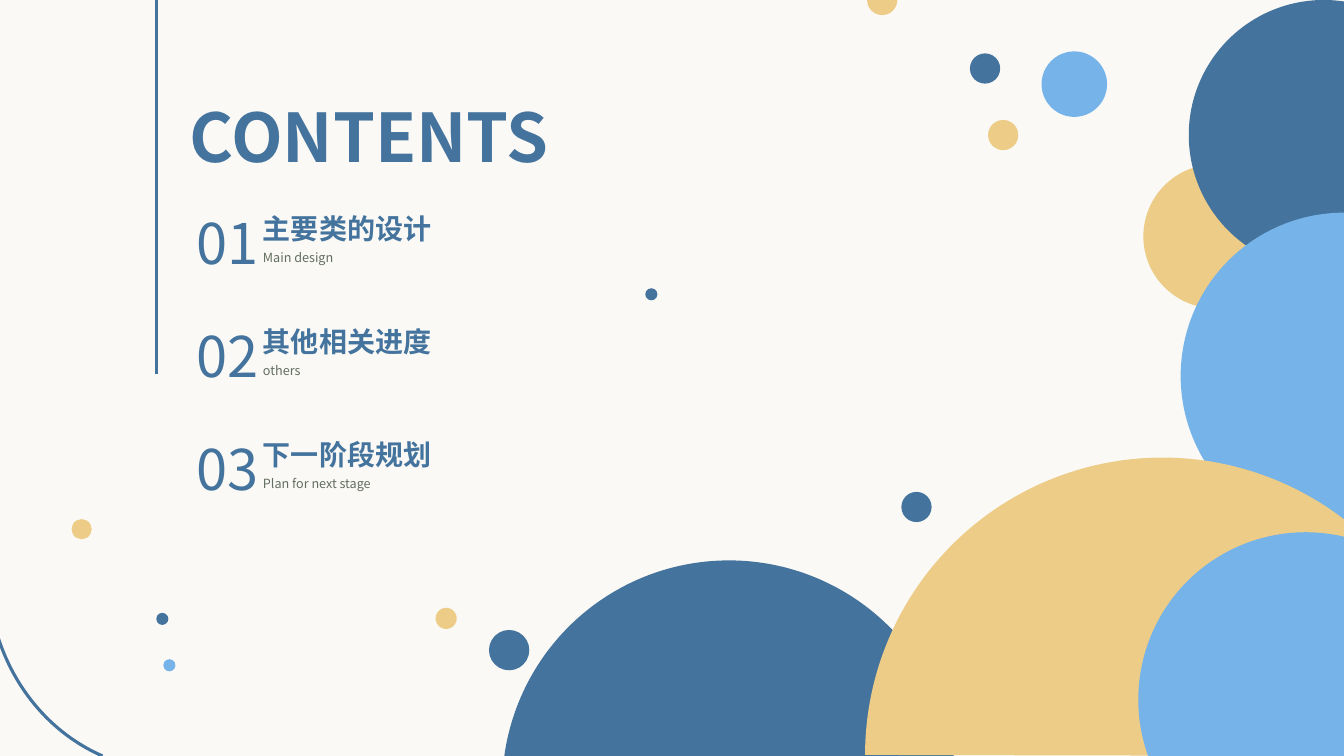
from math import cos, radians, sin

from lxml import etree
from pptx import Presentation
from pptx.dml.color import RGBColor
from pptx.enum.shapes import MSO_CONNECTOR, MSO_SHAPE
from pptx.enum.text import MSO_ANCHOR, MSO_AUTO_SIZE, PP_ALIGN
from pptx.oxml.ns import qn
from pptx.util import Inches, Pt

DOT = MSO_SHAPE.FLOWCHART_CONNECTOR
BACKDROP = MSO_SHAPE.FLOWCHART_PROCESS
OVAL, ARC = MSO_SHAPE.OVAL, MSO_SHAPE.ARC
STRAIGHT = MSO_CONNECTOR.STRAIGHT
TOP, MIDDLE = MSO_ANCHOR.TOP, MSO_ANCHOR.MIDDLE
LEFT, CENTER = PP_ALIGN.LEFT, PP_ALIGN.CENTER
GROW = MSO_AUTO_SIZE.SHAPE_TO_FIT_TEXT

FONT = "Noto Sans CJK SC"
NAVY, SKY, SAND = "44739D", "76B3E9", "EDCC87"
CREAM, GREY = "FAF9F5", "626E5F"
WIDTH, HEIGHT = 13.33, 7.5

prs = Presentation()
prs.slide_width, prs.slide_height = Inches(WIDTH), Inches(HEIGHT)
slide = prs.slides.add_slide(prs.slide_layouts[5])
shapes = slide.shapes


def paint(shape, colour):
    """Fill a shape flat, or clear it when the colour is None."""
    shape.shadow.inherit = False
    shape.line.fill.background()
    if colour:
        shape.fill.solid()
        shape.fill.fore_color.rgb = RGBColor.from_string(colour)
    else:
        shape.fill.background()


def write(shape, text, size, colour, bold=False, align=LEFT, anchor=TOP):
    """Put one formatted run into a shape."""
    frame = shape.text_frame
    frame.word_wrap = True
    frame.vertical_anchor = anchor
    paragraph = frame.paragraphs[0]
    paragraph.alignment = align
    run = paragraph.add_run()
    run.text = text
    run.font.name, run.font.size, run.font.bold = FONT, Pt(size), bold
    run.font.color.rgb = RGBColor.from_string(colour)
    etree.SubElement(run.font._element, qn("a:ea")).set("typeface", FONT)
    return frame


# Backdrop
backdrop = shapes.add_shape(BACKDROP, 0, 0, prs.slide_width, prs.slide_height)
paint(backdrop, CREAM)

# Whole dots: left, top, diameter, colour
dots = [
    (11.34, 1.63, 1.43, SAND),
    (10.33, 0.51, 0.65, SKY),
    (9.8, 1.19, 0.3, SAND),
    (8.94, 4.88, 0.3, NAVY),
    (9.62, 0.53, 0.3, NAVY),
    (4.85, 6.25, 0.4, NAVY),
    (4.32, 6.03, 0.21, SAND),
    (1.62, 6.54, 0.12, SKY),
    (1.55, 6.08, 0.12, NAVY),
    (0.71, 5.15, 0.2, SAND),
    (6.4, 2.86, 0.12, NAVY),
]
for left, top, size, colour in dots:
    dot = shapes.add_shape(DOT, *map(Inches, (left, top, size, size)))
    paint(dot, colour)

# Discs cut off at the slide edges: centre, radius, start and end degrees, corners
slide_corner = (Inches(WIDTH), Inches(HEIGHT))
discs = [
    (7.23, 7.81, 2.25, 187.92, 352.08, [], NAVY),
    (13.13, 1.34, 1.34, 81.42, 278.58, [], NAVY),
    (13.33, 3.73, 1.62, 90, 270, [], SKY),
    (11.53, 7.49, 2.95, 180, 307.6, [slide_corner], SAND),
    (8.75, 0, 0.15, 0, 180, [], SAND),
    (12.95, 6.94, 1.66, 160.28, 283.23, [slide_corner], SKY),
]
for centre_x, centre_y, radius, start, end, corners, colour in discs:
    quarters = [quarter for quarter in (90, 180, 270) if start < quarter < end]
    rim = [
        (Inches(centre_x + radius * cos(radians(angle))),
         Inches(centre_y + radius * sin(radians(angle))))
        for angle in (start, *quarters, end)
    ]
    outline = shapes.build_freeform(*rim[0])
    outline.add_line_segments(rim[1:] + corners, close=True)
    disc = outline.convert_to_shape()
    paint(disc, colour)
    # One arc takes the place of the straight steps along the rim
    contour = disc._element.find(".//" + qn("a:path"))
    for straight_step in contour.findall(qn("a:lnTo"))[:len(rim) - 1]:
        contour.remove(straight_step)
    rim_arc = etree.Element(qn("a:arcTo"))
    rim_arc.set("wR", str(Inches(radius)))
    rim_arc.set("hR", str(Inches(radius)))
    rim_arc.set("stAng", str(round(start * 60000)))
    rim_arc.set("swAng", str(round((end - start) * 60000)))
    contour.insert(1, rim_arc)

# Corner arc and vertical rule
corner_arc = shapes.add_shape(ARC, *map(Inches, (-0.12, 3.71, 3.61, 3.93)))
paint(corner_arc, None)
for index, degrees in enumerate((110.12, 159.8)):
    corner_arc.adjustments[index] = degrees * 0.6
rule = shapes.add_connector(STRAIGHT, Inches(1.55), 0, Inches(1.55), Inches(3.71))
etree.SubElement(rule._element.spPr, qn("a:effectLst"))
for stroke in (corner_arc, rule):
    stroke.line.color.rgb = RGBColor.from_string(NAVY)
    stroke.line.width = Pt(2.25)

# Title, brought in front of the backdrop
title = shapes.title
title.left, title.top, title.width, title.height = map(Inches, (1.78, 0.9, 3.98, 0.91))
write(title, "CONTENTS", 48, NAVY, bold=True).auto_size = GROW
title.element.getparent().append(title.element)

# Chapters, one per row
chapters = [
    ("主要类的设计", "Main design"),
    ("其他相关进度", "others"),
    ("下一阶段规划", "Plan for next stage"),
]
ROW_TOP, ROW_STEP = 1.78, 1.12
for row, (heading, subtitle) in enumerate(chapters):
    top = ROW_TOP + row * ROW_STEP
    heading_box = shapes.add_textbox(*map(Inches, (2.51, top + 0.27, 3.6, 0.44)))
    write(heading_box, heading, 20, NAVY, bold=True).auto_size = GROW
    subtitle_box = shapes.add_textbox(*map(Inches, (2.51, top + 0.62, 5.28, 0.28)))
    subtitle_frame = write(subtitle_box, subtitle, 9, GREY)
    subtitle_frame.auto_size = GROW
    subtitle_frame.paragraphs[0].line_spacing = 1.2
    number = shapes.add_shape(OVAL, *map(Inches, (1.63, top, 1.25, 1.24)))
    paint(number, None)
    write(number, f"{row + 1:02}", 40, NAVY, align=CENTER, anchor=MIDDLE)

prs.save("out.pptx")
